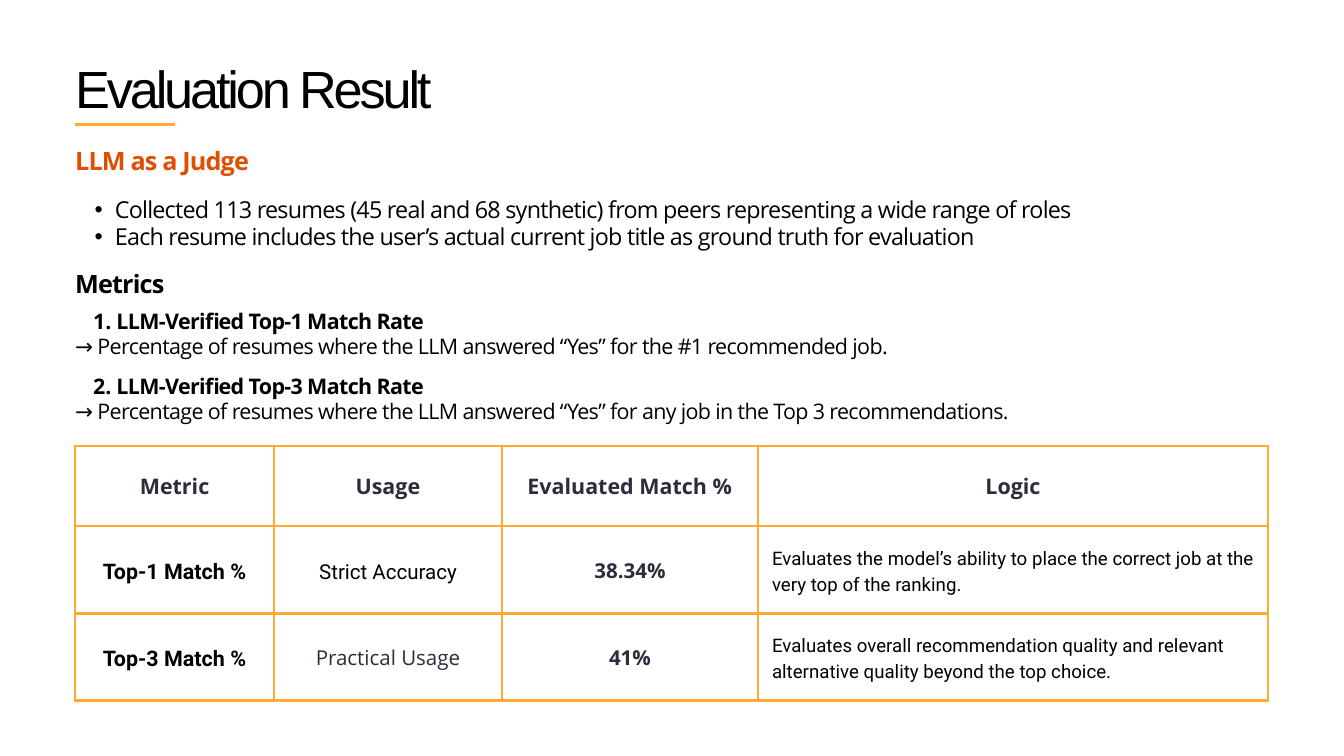
from dataclasses import dataclass
from typing import Any, Optional

from lxml.etree import SubElement
from pptx import Presentation
from pptx.dml.color import RGBColor
from pptx.enum.shapes import MSO_CONNECTOR
from pptx.enum.text import MSO_ANCHOR, MSO_AUTO_SIZE, PP_ALIGN
from pptx.oxml import parse_xml
from pptx.oxml.ns import nsdecls, qn
from pptx.util import Cm, Pt

BLACK = RGBColor(0x00, 0x00, 0x00)
SLATE = RGBColor(0x2A, 0x2E, 0x3A)
RUST = RGBColor(0xE0, 0x4F, 0x00)
AMBER = RGBColor(0xFF, 0xA9, 0x30)

LEFT_EDGE = Cm(2.84)
COLUMN_WIDTHS = [Cm(7.52), Cm(8.61), Cm(9.68), Cm(19.28)]
ROW_HEIGHTS = [Cm(3.02), Cm(3.3), Cm(3.3)]
CELL_INSETS = {f"margin_{side}": Cm(0.53) for side in ("left", "right", "top", "bottom")}
FRAME_FORMAT = {
    "margin_left": 0, "margin_right": 0, "margin_top": 0, "margin_bottom": 0,
    "word_wrap": True, "auto_size": MSO_AUTO_SIZE.NONE,
    "vertical_anchor": MSO_ANCHOR.TOP,
}


@dataclass(frozen=True)
class Style:
    size: float
    leading: float
    font: str = "Open Sans"
    color: RGBColor = BLACK
    bold: bool = False
    tracking: float = 0
    align: PP_ALIGN = PP_ALIGN.LEFT


@dataclass(frozen=True)
class Marker:
    tag: str
    attributes: dict[str, str]
    margin: Cm
    hanging: Cm


@dataclass(frozen=True)
class Line:
    text: str
    style: Style
    before: float = 0
    marker: Optional[Marker] = None


@dataclass(frozen=True)
class Entry:
    text: str
    style: Style


def numbered(start: int) -> Marker:
    return Marker("a:buAutoNum", {"type": "arabicPeriod", "startAt": str(start)},
                  Cm(1.56), Cm(0.88))


TITLE = Style(56, 56, "Arial", tracking=-3.4)
SECTION = Style(27, 31.6, color=RUST, bold=True, tracking=-0.9)
SUBSECTION = Style(27, 31.6, bold=True, tracking=-0.9)
FINDING = Style(25, 29.2, tracking=-0.8)
METRIC = Style(23, 26.9, bold=True, tracking=-0.7)
MEANING = Style(23, 26.9, tracking=-0.7)
HEADER = Style(23, 32.2, color=SLATE, bold=True, align=PP_ALIGN.CENTER)
ROW_NAME = Style(23, 32.2, "Roboto", bold=True, align=PP_ALIGN.CENTER)
STRICT = Style(22, 30.8, "Roboto", align=PP_ALIGN.CENTER)
PRACTICAL = Style(22, 30.8, color=SLATE, align=PP_ALIGN.CENTER)
SCORE = Style(22, 30.8, color=SLATE, bold=True, align=PP_ALIGN.CENTER)
LOGIC_JUSTIFIED = Style(20, 28, "Roboto", align=PP_ALIGN.JUSTIFY)
LOGIC = Style(20, 28, "Roboto")

BULLET = Marker("a:buChar", {"char": "•"}, Cm(1.5), Cm(0.76))

BODY_LINES = [
    Line("LLM as a Judge", SECTION),
    Line("Collected 113 resumes (45 real and 68 synthetic) from peers representing a wide range of roles",
         FINDING, 22.2, BULLET),
    Line("Each resume includes the user’s actual current job title as ground truth for evaluation",
         FINDING, 0, BULLET),
    Line("Metrics", SUBSECTION, 19.9),
    Line("LLM-Verified Top-1 Match Rate", METRIC, 10.5, numbered(1)),
    Line("→ Percentage of resumes where the LLM answered “Yes” for the #1 recommended job.", MEANING),
    Line("LLM-Verified Top-3 Match Rate", METRIC, 16.4, numbered(2)),
    Line("→ Percentage of resumes where the LLM answered “Yes” for any job in the Top 3 recommendations.",
         MEANING),
]

RESULTS = [
    [Entry(heading, HEADER) for heading in ("Metric", "Usage", "Evaluated Match %", "Logic")],
    [Entry("Top-1 Match %", ROW_NAME), Entry("Strict Accuracy", STRICT), Entry("38.34%", SCORE),
     Entry("Evaluates the model’s ability to place the correct job at the very top of the ranking.",
           LOGIC_JUSTIFIED)],
    [Entry("Top-3 Match %", ROW_NAME), Entry("Practical Usage", PRACTICAL), Entry("41%", SCORE),
     Entry("Evaluates overall recommendation quality and relevant alternative quality beyond the top choice.",
           LOGIC)],
]


def apply(target: Any, values: dict[str, Any]) -> None:
    for name, value in values.items():
        setattr(target, name, value)


def write(paragraph: Any, text: str, style: Style, before: float = 0) -> None:
    apply(paragraph, {"alignment": style.align, "line_spacing": Pt(style.leading),
                      "space_before": Pt(before), "space_after": Pt(0)})
    run = paragraph.add_run()
    run.text = text
    apply(run.font, {"name": style.font, "size": Pt(style.size), "bold": style.bold})
    run.font.color.rgb = style.color
    if style.tracking:
        run._r.get_or_add_rPr().set("spc", str(round(style.tracking * 100)))


def mark(paragraph: Any, marker: Optional[Marker]) -> None:
    properties = paragraph._p.get_or_add_pPr()
    properties.set("marL", str(marker.margin if marker else 0))
    properties.set("indent", str(-marker.hanging if marker else 0))
    element = SubElement(properties, qn(marker.tag if marker else "a:buNone"))
    for name, value in (marker.attributes if marker else {}).items():
        element.set(name, value)


def fill_placeholder(placeholder: Any, box: tuple[Cm, ...], lines: list[Line]) -> None:
    apply(placeholder, dict(zip(("left", "top", "width", "height"), box)))
    frame = placeholder.text_frame
    apply(frame, FRAME_FORMAT)
    for index, line in enumerate(lines):
        paragraph = frame.add_paragraph() if index else frame.paragraphs[0]
        write(paragraph, line.text, line.style, line.before)
        mark(paragraph, line.marker)


def add_borders(cell: Any) -> None:
    properties = cell._tc.get_or_add_tcPr()
    for index, side in enumerate("LRTB"):
        properties.insert(index, parse_xml(
            f'<a:ln{side} {nsdecls("a")} w="{Pt(3)}"><a:solidFill>'
            f'<a:srgbClr val="{AMBER}"/></a:solidFill></a:ln{side}>'))


def add_results(slide: Any) -> None:
    table = slide.shapes.add_table(
        len(ROW_HEIGHTS), len(COLUMN_WIDTHS), LEFT_EDGE, Cm(16.87),
        sum(COLUMN_WIDTHS), sum(ROW_HEIGHTS)).table
    apply(table, {"first_row": False, "horz_banding": False})
    for column, width in zip(table.columns, COLUMN_WIDTHS):
        column.width = width
    for row, height, entries in zip(table.rows, ROW_HEIGHTS, RESULTS):
        row.height = height
        for cell, entry in zip(row.cells, entries):
            apply(cell, CELL_INSETS | {"vertical_anchor": MSO_ANCHOR.MIDDLE})
            cell.fill.background()
            add_borders(cell)
            write(cell.text_frame.paragraphs[0], entry.text, entry.style)


def add_title_rule(slide: Any) -> None:
    rule = slide.shapes.add_connector(
        MSO_CONNECTOR.STRAIGHT, LEFT_EDGE, Cm(4.7), Cm(6.63), Cm(4.7))
    rule.line.color.rgb = AMBER
    rule.line.width = Pt(3)
    SubElement(rule._element.spPr, qn("a:effectLst"))


def main() -> None:
    deck = Presentation()
    apply(deck, {"slide_width": Cm(50.8), "slide_height": Cm(28.58)})
    slide = deck.slides.add_slide(deck.slide_layouts[1])
    fill_placeholder(slide.shapes.title, (LEFT_EDGE, Cm(2.51), Cm(26.37), Cm(2.13)),
                     [Line("Evaluation Result", TITLE)])
    add_results(slide)
    fill_placeholder(slide.placeholders[1], (LEFT_EDGE, Cm(5.51), Cm(45.59), Cm(11.43)),
                     BODY_LINES)
    add_title_rule(slide)
    deck.save("out.pptx")


if __name__ == "__main__":
    main()
